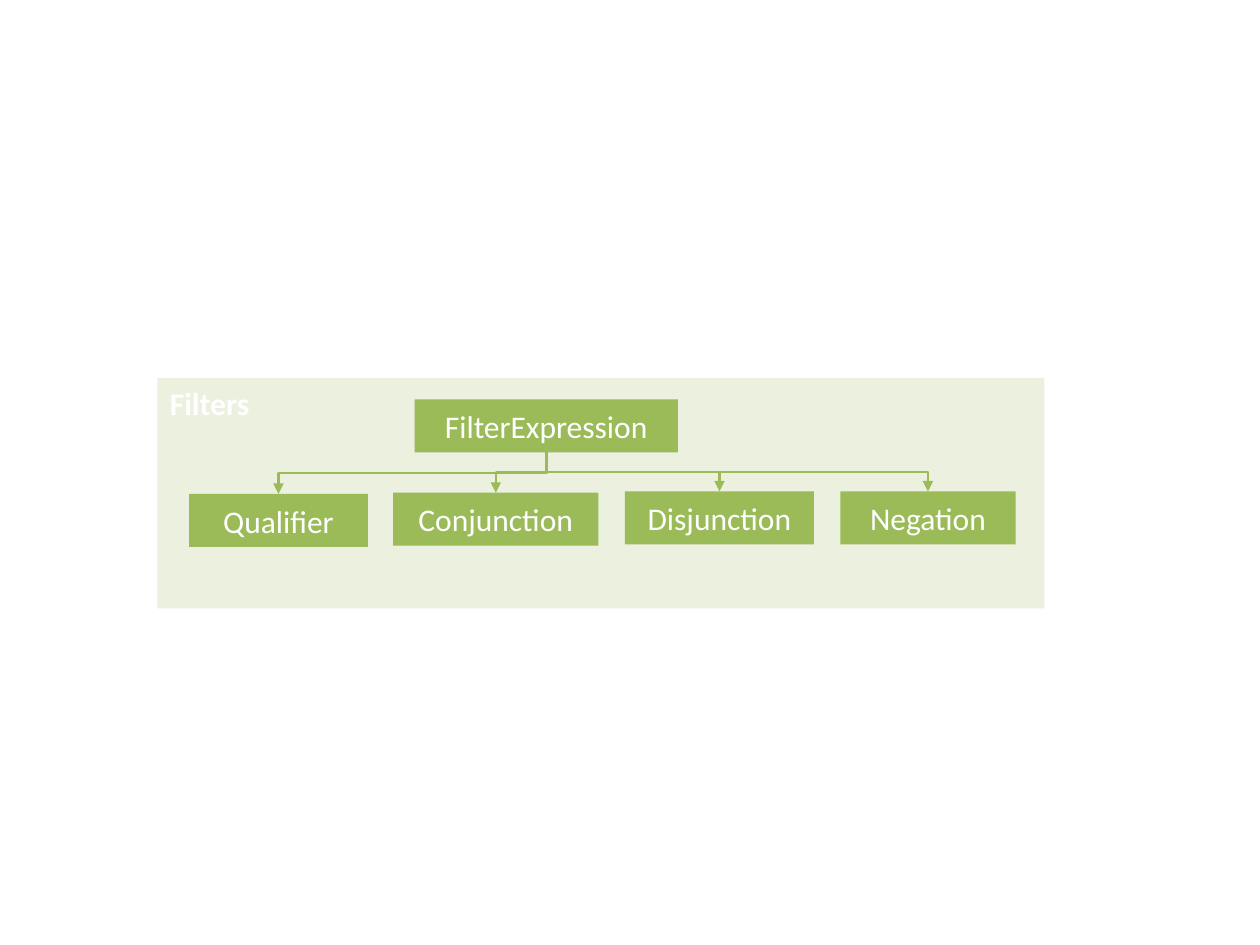
from pptx import Presentation
from pptx.dml.color import RGBColor as RGB
from pptx.enum.shapes import MSO_CONNECTOR as LINE, MSO_SHAPE as SHAPE
from pptx.enum.text import MSO_ANCHOR as ANCHOR, PP_ALIGN as ALIGN
from pptx.oxml.ns import qn
from pptx.util import Inches, Pt
from lxml.etree import SubElement

# Content: name, left, top, width
PANEL = ("Filters", 1.25, 3, 7.04)
ROOT = ("FilterExpression", 3.29, 3.17, 2.09)
KINDS = [
    ("Qualifier", 1.5, 3.92, 1.42),
    ("Conjunction", 3.12, 3.91, 1.63),
    ("Disjunction", 4.96, 3.9, 1.5),
    ("Negation", 6.67, 3.9, 1.39),
]
PANEL_H, BOX_H = 1.83, 0.42
HEX = {"panel": "EBF1DE", "green": "9BBB59", "white": "FFFFFF"}

deck = Presentation()
deck.slide_width, deck.slide_height = Inches(10), Inches(7.5)
slide = deck.slides.add_slide(deck.slide_layouts[6])


def color(name):
    return RGB.from_string(HEX[name])


def box(item, high, fill, align=ALIGN.CENTER, anchor=ANCHOR.MIDDLE, bold=False):
    text, left, top, wide = item
    shape = slide.shapes.add_shape(
        SHAPE.RECTANGLE, *map(Inches, (left, top, wide, high)))
    shape.shadow.inherit = False
    shape.fill.solid()
    shape.fill.fore_color.rgb = color(fill)
    shape.line.fill.background()
    frame = shape.text_frame
    frame.word_wrap = True
    frame.vertical_anchor = anchor
    para = frame.paragraphs[0]
    para.alignment = align
    run = para.add_run()
    run.text = text
    run.font.name, run.font.size, run.font.bold = "Calibri", Pt(18), bold
    run.font.color.rgb = color("white")


def branch(kid):
    # Elbow that leaves the root downward: a turned box, mirrored to the right
    x1, y1 = ROOT[1] + ROOT[3] / 2, ROOT[2] + BOX_H
    x2, y2 = kid[1] + kid[3] / 2, kid[2]
    midx, midy = (x1 + x2) / 2, (y1 + y2) / 2
    right = x2 > x1
    dx = (y2 - y1) / 2 * (1 if right else -1)
    dy = abs(x2 - x1) / 2
    line = slide.shapes.add_connector(
        LINE.ELBOW, *map(Inches, (midx + dx, midy - dy, midx - dx, midy + dy)))
    line.line.color.rgb = color("green")
    line.line.width = Pt(1.5)
    props = line._element.spPr
    props.find(qn("a:xfrm")).set("rot", str((270 if right else 90) * 60000))
    SubElement(props.find(qn("a:ln")), qn("a:tailEnd"), type="triangle")
    SubElement(props, qn("a:effectLst"))


# Panel, root and its kinds
box(PANEL, PANEL_H, "panel", ALIGN.LEFT, ANCHOR.TOP, True)
box(ROOT, BOX_H, "green")
for kind in KINDS:
    box(kind, BOX_H, "green")
    branch(kind)

deck.save("out.pptx")
